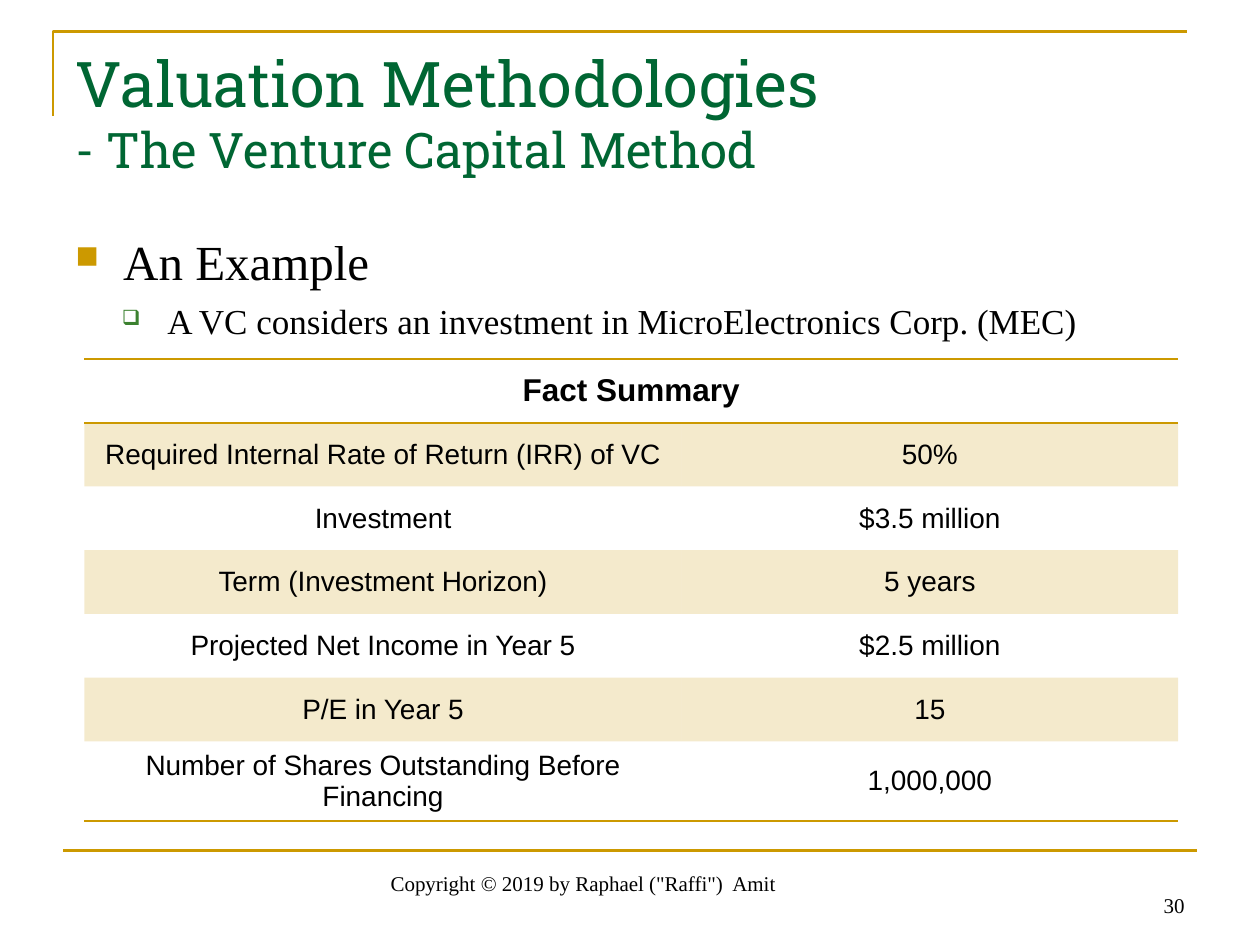
from lxml import etree
from pptx import Presentation
from pptx.dml.color import RGBColor
from pptx.enum import shapes, text
from pptx.oxml import parse_xml
from pptx.oxml.ns import nsdecls, qn
from pptx.util import Inches, Pt

GOLD = "CC9900"
GREEN = "006633"
SERIF = "Times New Roman"


def color(value):
    return RGBColor.from_string(value)


def style(span, size, face, value="000000", bold=False):
    span.font.size = Pt(size)
    span.font.name = face
    span.font.bold = bold
    span.font.color.rgb = color(value)


deck = Presentation()
deck.slide_width, deck.slide_height = Inches(10), Inches(7.5)
page = deck.slides.add_slide(deck.slide_layouts[6])

builder = page.shapes.build_freeform(Inches(0.42), Inches(0.92))
builder.add_line_segments([(Inches(0.42), Inches(0.25)), (Inches(9.42), Inches(0.25))], close=False)
corner = builder.convert_to_shape()
corner.shadow.inherit = False
corner.fill.background()
footer_rule = page.shapes.add_connector(
    shapes.MSO_CONNECTOR.STRAIGHT, Inches(0.5), Inches(6.75), Inches(9.5), Inches(6.75))
etree.SubElement(footer_rule._element.spPr, qn("a:effectLst"))
for rule in (corner, footer_rule):
    rule.line.color.rgb = color(GOLD)
    rule.line.width = Pt(1.5)

top, bottom = text.MSO_ANCHOR.TOP, text.MSO_ANCHOR.BOTTOM
left, center, right = text.PP_ALIGN.LEFT, text.PP_ALIGN.CENTER, text.PP_ALIGN.RIGHT
blocks = [
    ((0.5, 0.3, 9, 1.25), "Valuation Methodologies\v- The Venture Capital Method",
     top, left, "Roboto Slab", GREEN, [36, 28]),
    ((0.5, 1.75, 9, 1), "An Example\nA VC considers an investment in MicroElectronics Corp. (MEC)",
     top, left, SERIF, "000000", [28, 20]),
    ((2.51, 6.8, 4.24, 0.36), 'Copyright © 2019 by Raphael ("Raffi")  Amit',
     bottom, center, SERIF, "000000", [12]),
    ((7.17, 6.83, 2.33, 0.5), "30", bottom, right, SERIF, "000000", [12]),
]
boxes = []
for place, wording, anchor, align, face, value, sizes in blocks:
    box = page.shapes.add_textbox(*[Inches(length) for length in place])
    frame = box.text_frame
    frame.word_wrap = True
    frame.vertical_anchor = anchor
    frame.text = wording
    for para in frame.paragraphs:
        para.alignment = align
    spans = [span for para in frame.paragraphs for span in para.runs]
    for span, size in zip(spans, sizes):
        style(span, size, face, value)
    boxes.append(box)

body = boxes[1].text_frame
body.margin_top = Inches(0.09)
body.paragraphs[1].space_before = Pt(5)
bullets = [(0.38, -0.38, "■", GOLD, 65), (0.73, -0.36, "❑", "3B812F", 60)]
for para, (margin, indent, mark, value, percent) in zip(body.paragraphs, bullets):
    properties = para._p.get_or_add_pPr()
    properties.set("marL", str(Inches(margin)))
    properties.set("indent", str(Inches(indent)))
    bullet_color = etree.SubElement(properties, qn("a:buClr"))
    etree.SubElement(bullet_color, qn("a:srgbClr"), val=value)
    etree.SubElement(properties, qn("a:buSzPct"), val=str(percent * 1000))
    etree.SubElement(properties, qn("a:buChar"), char=mark)

facts = [
    ("Fact Summary", ""),
    ("Required Internal Rate of Return (IRR) of VC", "50%"),
    ("Investment", "$3.5 million"),
    ("Term (Investment Horizon)", "5 years"),
    ("Projected Net Income in Year 5", "$2.5 million"),
    ("P/E in Year 5", "15"),
    ("Number of Shares Outstanding Before Financing", "1,000,000"),
]
holder = page.shapes.add_table(
    len(facts), 2, Inches(0.67), Inches(2.85), Inches(8.68), Inches(3.54))
table = holder.table
table.first_row = table.horz_banding = False
table._tbl.tblPr.find(qn("a:tableStyleId")).text = "{2D5ABB26-0587-4C30-8999-92F81FD0307C}"
table.columns[0].width, table.columns[1].width = Inches(4.74), Inches(3.94)
table.cell(0, 0).merge(table.cell(0, 1))
edges = {0: ["lnT", "lnB"], len(facts) - 1: ["lnB"]}
for row, fact in enumerate(facts):
    table.rows[row].height = Inches(3.54 / len(facts))
    for column, wording in enumerate(fact):
        cell = table.cell(row, column)
        cell.vertical_anchor = text.MSO_ANCHOR.MIDDLE
        cell.text = wording
        para = cell.text_frame.paragraphs[0]
        para.alignment = center
        for span in para.runs:
            style(span, 16 if row else 18, "Arial", bold=row == 0)
        for edge in edges.get(row, []):
            cell._tc.get_or_add_tcPr().append(parse_xml(
                f'<a:{edge} {nsdecls("a")} w="{Pt(1)}"><a:solidFill>'
                f'<a:srgbClr val="{GOLD}"/></a:solidFill></a:{edge}>'))
        if row % 2:
            cell.fill.solid()
            cell.fill.fore_color.rgb = color(GOLD)
            tint = cell._tc.tcPr.find(".//" + qn("a:srgbClr"))
            etree.SubElement(tint, qn("a:alpha"), val="20000")
        else:
            cell.fill.background()

deck.save("out.pptx")
